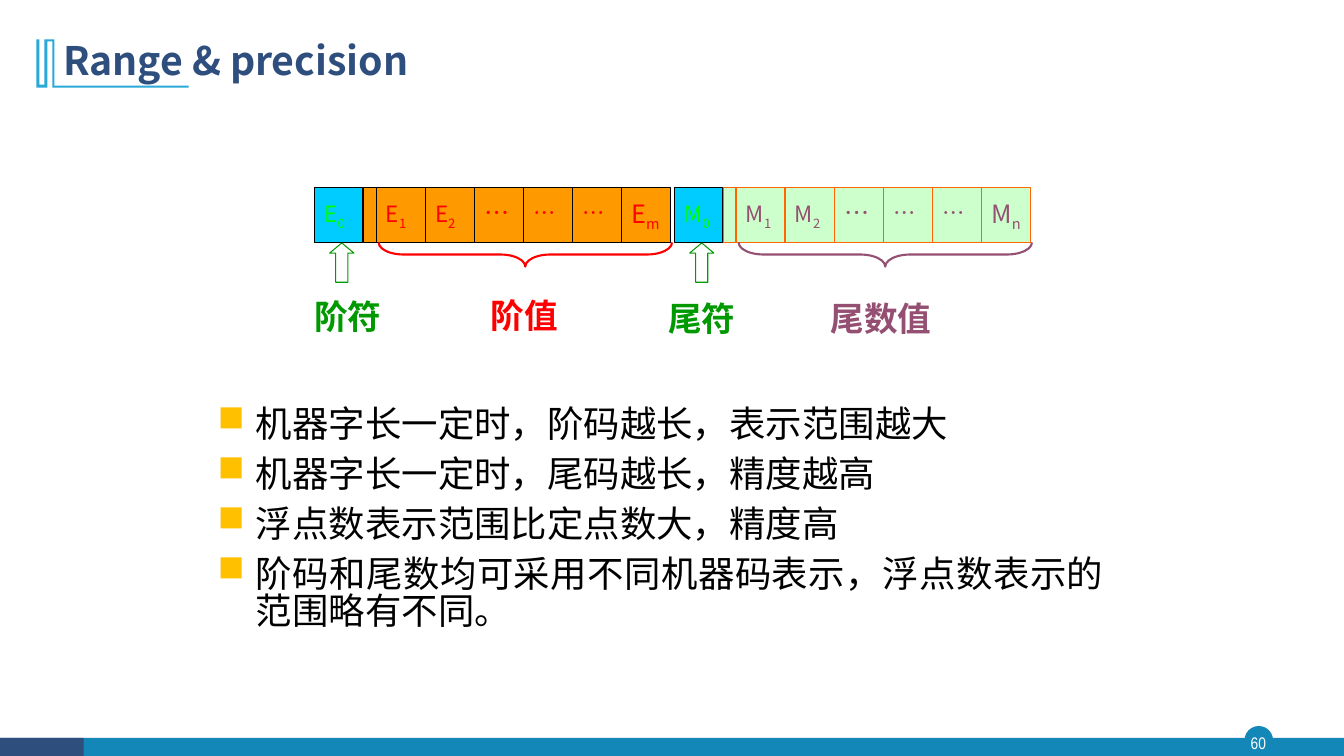
from lxml import etree
from pptx import Presentation
from pptx.dml.color import RGBColor
from pptx.enum.shapes import MSO_SHAPE
from pptx.enum.text import MSO_ANCHOR, PP_ALIGN
from pptx.oxml.ns import qn
from pptx.util import Inches, Pt

RECT, OVAL = MSO_SHAPE.RECTANGLE, MSO_SHAPE.OVAL
ARROW, BRACE = MSO_SHAPE.UP_ARROW, MSO_SHAPE.LEFT_BRACE
MIDDLE = MSO_ANCHOR.MIDDLE
LEFT, CENTER, JUSTIFY = PP_ALIGN.LEFT, PP_ALIGN.CENTER, PP_ALIGN.JUSTIFY
SANS, NARROW = "Noto Sans CJK SC", "Arial Narrow"
NAVY, BLUE, SKY = "2E4E7E", "1387B7", "28A9D6"
RED, GREEN, PLUM = "FF0000", "009900", "954F72"

MARK = [(54, 39), (54, 85), (187, 85), (187, 87), (52, 87), (52, 41),
        (47, 41), (47, 87), (36, 87), (36, 39), (39, 39), (39, 84),
        (44, 84), (44, 39)]
POINTS = [
    "机器字长一定时，阶码越长，表示范围越大",
    "机器字长一定时，尾码越长，精度越高",
    "浮点数表示范围比定点数大，精度高",
    "阶码和尾数均可采用不同机器码表示，浮点数表示的范围略有不同。",
]


def color(code):
    return RGBColor.from_string(code)


def style(font, size, code, bold=False, name=SANS):
    font.size, font.bold, font.name = Pt(size), bold, name
    font.color.rgb = color(code)
    props = font._element if hasattr(font, "_element") else font._rPr
    face = etree.SubElement(props, qn("a:ea"))
    face.set("typeface", name)


def indent(para, left, first):
    props = para._p.get_or_add_pPr()
    props.set("marL", str(Inches(left)))
    props.set("indent", str(Inches(first)))
    return props


def draw(slide, kind, box, fill=None, line=None, width=0.75):
    shape = slide.shapes.add_shape(kind, *map(Inches, box))
    shape.shadow.inherit = False
    if fill:
        shape.fill.solid()
        shape.fill.fore_color.rgb = color(fill)
    else:
        shape.fill.background()
    if line:
        shape.line.color.rgb = color(line)
        shape.line.width = Pt(width)
    else:
        shape.line.fill.background()
    return shape


def write(slide, box, text, size, code, bold=False, name=SANS):
    frame = slide.shapes.add_textbox(*map(Inches, box)).text_frame
    frame.word_wrap = True
    frame.text = text
    para = frame.paragraphs[0]
    style(para.runs[0].font, size, code, bold, name)
    return frame, para


def footer(slide, left, top, width, height):
    draw(slide, OVAL, (left + 12.35, top - 0.11, 0.27, 0.27), BLUE, BLUE, 1)
    draw(slide, RECT, (left, top, width, height), BLUE)
    draw(slide, RECT, (left, top, 0.83, height), NAVY)
    frame, para = write(slide, (left + 12.32, top - 0.11, 0.32, 0.31),
                        "60", 12, "FFFFFF", name=NARROW)
    frame.margin_left = frame.margin_right = 0
    frame.margin_top = frame.margin_bottom = 0
    frame.vertical_anchor = MIDDLE
    para.alignment = CENTER


def heading(slide, left, top, width, height):
    build = slide.shapes.build_freeform(*MARK[0], scale=Inches(0.01))
    build.add_line_segments(MARK[1:])
    mark = build.convert_to_shape()
    mark.shadow.inherit = False
    mark.fill.solid()
    mark.fill.fore_color.rgb = color(SKY)
    mark.line.fill.background()
    frame, para = write(slide, (left, top, width, height),
                        "Range & precision", 28, NAVY, True)
    frame.vertical_anchor = MIDDLE
    para.line_spacing = 0.9


def cell(slide, box, base, sub, size, ink, fill, line):
    frame = draw(slide, RECT, box, fill, line).text_frame
    frame.word_wrap = False
    frame.vertical_anchor = MIDDLE
    para = frame.paragraphs[0]
    para.alignment = LEFT
    para.line_spacing = 0.8
    indent(para, 0.38, -0.38)
    for text in filter(None, (base, sub)):
        run = para.add_run()
        run.text = text
        style(run.font, size, ink)
        if text == sub:
            run.font._element.set("baseline", "-25000")


def label(slide, left, top, text, ink):
    para = write(slide, (left, top, 2.24, 0.55), text, 24, ink, True)[1]
    para.line_spacing = 1.2
    indent(para, 0.51, 0)


def field(slide, left, top, letter, last, ink, fill, line, edge, sign, value):
    high, gap, step = 0.55, 0.12, 2.92 / 6
    start = left + 0.49 + gap
    cell(slide, (left, top, 0.48, high), letter, "0", 16, "00FF00",
         "00CCFF", edge)
    parts = [(letter, "1", 16), (letter, "2", 16), ("…", "", 18),
             ("…", "", 16), ("…", "", 16), (letter, last, 18)]
    for i, (base, sub, size) in enumerate(parts):
        cell(slide, (start + i * step, top, step, high), base, sub, size,
             ink, fill, line)
    draw(slide, RECT, (start - gap, top, gap, high), fill, line)

    brace = draw(slide, BRACE, (start + 1.36, top - 0.79, 0.24, 2.91),
                 None, ink, 1.5)
    brace.rotation = 270
    brace.adjustments[0], brace.adjustments[1] = 1.03, 0.5
    arrow = draw(slide, ARROW, (left + 0.15, top + high, 0.24, 0.39),
                 None, GREEN)
    arrow.adjustments[0], arrow.adjustments[1] = 0.5, 0.42
    for text, tint, spot, drop in (sign, value):
        label(slide, left + spot, top + drop, text, tint)


def bullets(slide, left, top, width, height):
    frame = slide.shapes.add_textbox(
        *map(Inches, (left, top, width, height))).text_frame
    frame.word_wrap = True
    frame.text = "\n".join(POINTS)
    for i, para in enumerate(frame.paragraphs):
        para.alignment = JUSTIFY
        para.line_spacing = 0.83
        para.space_before = Pt(10 if i else 0)
        props = indent(para, 0.38, -0.38)
        tint = etree.SubElement(props, qn("a:buClr"))
        etree.SubElement(tint, qn("a:srgbClr")).set("val", "FFC000")
        etree.SubElement(props, qn("a:buChar")).set("char", "■")
        style(para.runs[0].font, 26, "000000")


def main():
    deck = Presentation()
    deck.slide_width, deck.slide_height = Inches(13.33), Inches(7.5)
    slide = deck.slides.add_slide(deck.slide_layouts[6])
    footer(slide, 0, 7.32, 13.33, 0.19)
    heading(slide, 0.53, 0.28, 11.5, 0.68)
    bullets(slide, 2.06, 4, 8.99, 2.83)
    field(slide, 3.12, 1.86, "E", "m", RED, "FF9900", "000000", "000000",
          ("阶符", GREEN, -0.61, 0.95), ("阶值", RED, 1.14, 0.94))
    field(slide, 6.69, 1.86, "M", "n", PLUM, "CCFFCC", "FF6600", "000000",
          ("尾符", GREEN, -0.67, 0.97), ("尾数值", PLUM, 0.94, 0.97))
    deck.save("out.pptx")


if __name__ == "__main__":
    main()
